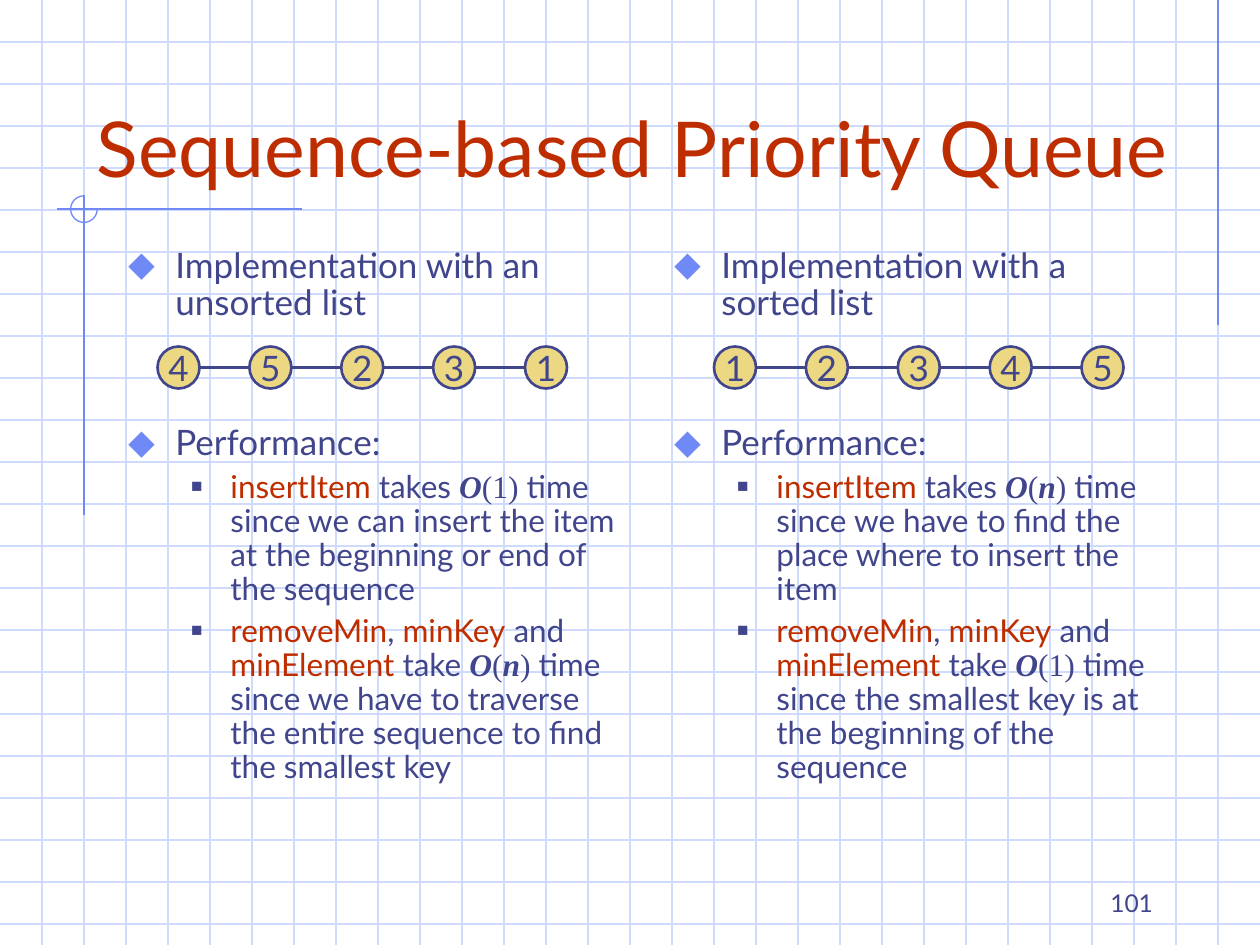
"""Build the slide comparing unsorted and sorted sequence-based priority queues."""
from dataclasses import dataclass

from lxml.etree import SubElement
from pptx import Presentation
from pptx.dml.color import RGBColor
from pptx.enum.shapes import MSO_CONNECTOR, MSO_SHAPE
from pptx.enum.text import MSO_ANCHOR, MSO_AUTO_SIZE, PP_ALIGN
from pptx.oxml.ns import qn
from pptx.util import Pt

TITLE = "Sequence-based Priority Queue"
PAGE = "101"
CONSTANT = [("O", "symbol"), ("(1)", "math")]
LINEAR = [("O", "symbol"), ("(", "math"), ("n", "symbol"), (")", "math")]
INSERT = [("insertItem", "code"), (" takes ", "plain")]
REMOVE = [("removeMin", "code"), (", ", "plain"), ("minKey", "code"), (" and ", "plain"),
          ("minElement", "code"), (" take ", "plain")]
COLUMNS = [
    {
        "heading": "Implementation with an unsorted list",
        "keys": "45231",
        "performance": [
            INSERT + CONSTANT + [(" time since we can insert the item at the beginning "
                                  "or end of the sequence", "plain")],
            REMOVE + LINEAR + [(" time since we have to traverse the entire sequence "
                                "to find the smallest key", "plain")],
        ],
        "box": (66, 138, 300, 354),
        "list_left": 90,
    },
    {
        "heading": "Implementation with a sorted list",
        "keys": "12345",
        "performance": [
            INSERT + LINEAR + [(" time since we have to find the place where to insert "
                                "the item", "plain")],
            REMOVE + CONSTANT + [(" time since the smallest key is at the beginning "
                                  "of the sequence", "plain")],
        ],
        "box": (378, 138, 300, 324),
        "list_left": 408,
    },
]


@dataclass(frozen=True)
class Theme:
    """Colours, fonts and type sizes."""
    ink: str = "40458C"
    red: str = "BE2D00"
    accent: str = "6F89F7"
    grid: str = "CFDBFD"
    node: str = "ECD882"
    font: str = "Lato"
    math_font: str = "Times New Roman"
    title: int = 44
    heading: int = 20
    detail: int = 18
    page: int = 14


THEME = Theme()
STYLES = {
    "plain": {},
    "code": {"color": THEME.red},
    "math": {"font": THEME.math_font},
    "symbol": {"font": THEME.math_font, "bold": True, "italic": True},
}
LEVELS = [
    {"bullet": "⬥", "color": THEME.accent, "percent": 110, "left": 27, "hang": 27},
    {"bullet": "■", "color": THEME.ink, "percent": 60, "left": 58.5, "hang": 22.5},
]
WIDTH, HEIGHT, GRID_STEP = 720, 540, 24
NODE_TOP, NODE_SIZE, NODE_PITCH = 198, 24, 52.5
LIST_GAP = 58.2
AXIS_LINES = [(696, 0, 696, 186), (172.8, 119.5, 32.4, 119.5), (48, 111.6, 48, 294.5)]
AXIS_RING = (40.4, 111.9, 15.2, 15.2)


def points(values):
    """Convert numbers to lengths in points."""
    return [Pt(value) for value in values]


def write(paragraph, text, *, size, color=THEME.ink, font=THEME.font,
          bold=False, italic=False):
    """Append a formatted run to a paragraph."""
    run = paragraph.add_run()
    run.text = text
    run.font.size = Pt(size)
    run.font.name = font
    run.font.bold = bold
    run.font.italic = italic
    run.font.color.rgb = RGBColor.from_string(color)


def place(shape, box):
    """Move and resize a shape."""
    shape.left, shape.top, shape.width, shape.height = points(box)


def set_frame(shape, anchor, wrap=True):
    """Set the frame of a text shape and return its first paragraph."""
    frame = shape.text_frame
    frame.auto_size = MSO_AUTO_SIZE.NONE
    frame.word_wrap = wrap
    frame.vertical_anchor = anchor
    return frame.paragraphs[0]


def draw_line(shapes, ends, color, weight=0.75):
    """Draw a straight line without a shadow."""
    line = shapes.add_connector(MSO_CONNECTOR.STRAIGHT, *points(ends))
    line.line.color.rgb = RGBColor.from_string(color)
    line.line.width = Pt(weight)
    SubElement(line._element.spPr, qn("a:effectLst"))


def set_bullet(paragraph, level, space_before):
    """Give a paragraph its level, indent, spacing and bullet."""
    look = LEVELS[level]
    paragraph.level = level
    paragraph.line_spacing = 0.9
    paragraph.space_before = Pt(space_before)
    props = paragraph._p.get_or_add_pPr()
    props.set("marL", str(Pt(look["left"])))
    props.set("indent", str(-Pt(look["hang"])))
    SubElement(SubElement(props, qn("a:buClr")), qn("a:srgbClr"), val=look["color"])
    SubElement(props, qn("a:buSzPct"), val=str(look["percent"] * 1000))
    SubElement(props, qn("a:buChar"), char=look["bullet"])


def draw_backdrop(slide):
    """Draw the grid and axis marks behind everything else."""
    backdrop = slide.shapes.add_group_shape()
    for y in range(GRID_STEP, HEIGHT, GRID_STEP):
        draw_line(backdrop.shapes, (0, y, WIDTH, y), THEME.grid)
    for x in range(GRID_STEP, WIDTH, GRID_STEP):
        draw_line(backdrop.shapes, (x, 0, x, HEIGHT), THEME.grid)
    for ends in AXIS_LINES:
        draw_line(backdrop.shapes, ends, THEME.accent)
    ring = backdrop.shapes.add_shape(MSO_SHAPE.ARC, *points(AXIS_RING))
    ring.adjustments[0], ring.adjustments[1] = 0, 162
    ring.shadow.inherit = False
    ring.fill.background()
    ring.line.color.rgb = RGBColor.from_string(THEME.accent)
    ring.line.width = Pt(0.75)
    slide.shapes._spTree.insert(2, backdrop._element)


def draw_list(slide, keys, left):
    """Draw a linked list of keys as circles on a line."""
    chain = slide.shapes.add_group_shape().shapes
    middle = NODE_TOP + NODE_SIZE / 2
    last = left + NODE_PITCH * (len(keys) - 1)
    draw_line(chain, (left + NODE_SIZE, middle, last, middle), THEME.ink, 1.5)
    for index, key in enumerate(keys):
        box = (left + index * NODE_PITCH, NODE_TOP, NODE_SIZE, NODE_SIZE)
        node = chain.add_shape(MSO_SHAPE.OVAL, *points(box))
        node.shadow.inherit = False
        node.fill.solid()
        node.fill.fore_color.rgb = RGBColor.from_string(THEME.node)
        node.line.color.rgb = RGBColor.from_string(THEME.ink)
        node.line.width = Pt(1.5)
        label = set_frame(node, MSO_ANCHOR.MIDDLE, wrap=False)
        label.alignment = PP_ALIGN.CENTER
        write(label, key, size=THEME.heading)


def fill_column(body, column):
    """Write one column of the comparison into its placeholder."""
    place(body, column["box"])
    heading = set_frame(body, MSO_ANCHOR.TOP)
    set_bullet(heading, 0, 0)
    write(heading, column["heading"], size=THEME.heading)
    performance = body.text_frame.add_paragraph()
    set_bullet(performance, 0, LIST_GAP)
    write(performance, "Performance:", size=THEME.heading)
    for runs in column["performance"]:
        detail = body.text_frame.add_paragraph()
        set_bullet(detail, 1, 4.5)
        for text, style in runs:
            write(detail, text, size=THEME.detail, **STYLES[style])


def main():
    """Assemble and save the slide."""
    deck = Presentation()
    deck.slide_width, deck.slide_height = points((WIDTH, HEIGHT))
    slide = deck.slides.add_slide(deck.slide_layouts[3])
    draw_backdrop(slide)
    title, *bodies = slide.placeholders
    place(title, (48, 24, 664, 90))
    heading = set_frame(title, MSO_ANCHOR.BOTTOM)
    heading.alignment = PP_ALIGN.LEFT
    write(heading, TITLE, size=THEME.title, color=THEME.red)
    for body, column in zip(bodies, COLUMNS):
        fill_column(body, column)
        draw_list(slide, column["keys"], column["list_left"])
    page = slide.shapes.add_textbox(*points((516, 492, 150, 36)))
    number = set_frame(page, MSO_ANCHOR.BOTTOM)
    number.alignment = PP_ALIGN.RIGHT
    write(number, PAGE, size=THEME.page)
    deck.save("out.pptx")


if __name__ == "__main__":
    main()
